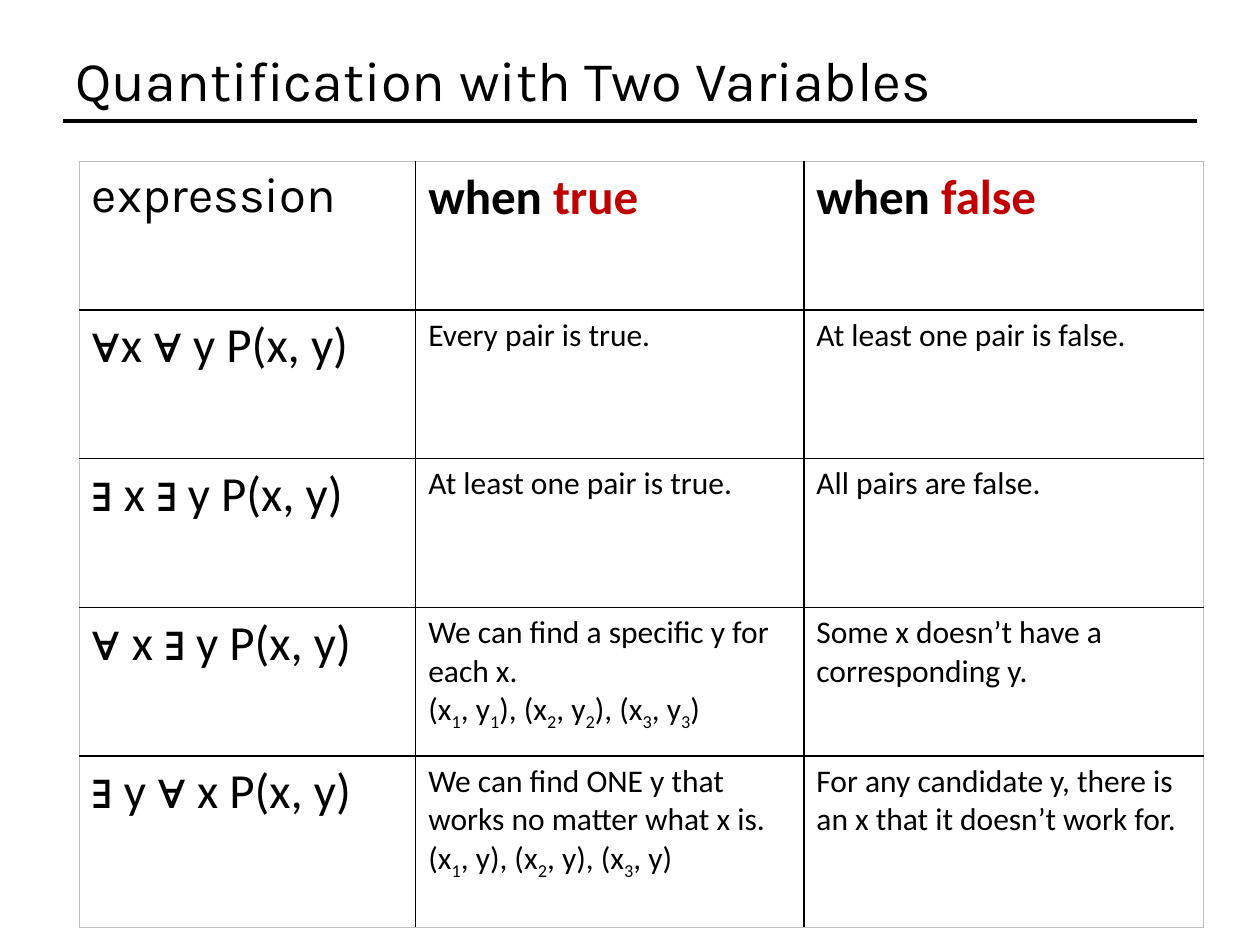
"""Build a slide with a table of two-variable quantifier meanings."""
from itertools import groupby

from lxml import etree
from pptx import Presentation
from pptx import util as u
from pptx.dml.color import RGBColor
from pptx.enum import shapes, text
from pptx.oxml import ns

TITLE = "Quantification with Two Variables"
HEADS = [("expression", ""), ("when ", "true"), ("when ", "false")]
ROWS = [
    ("∀x ∀ y P(x, y)", ["Every pair is true."], ["At least one pair is false."]),
    ("∃ x ∃ y P(x, y)", ["At least one pair is true."], ["All pairs are false."]),
    ("∀ x ∃ y P(x, y)",
     ["We can find a specific y for each x.", "(x1, y1), (x2, y2), (x3, y3)"],
     ["Some x doesn’t have a corresponding y."]),
    ("∃ y ∀ x P(x, y)",
     ["We can find ONE y that works no matter what x is.", "(x1, y), (x2, y), (x3, y)"],
     ["For any candidate y, there is an x that it doesn’t work for."]),
]
WIDTHS = [2.67, 3.08, 3.17]
HEIGHTS = [1.18] * 4 + [1.36]
THEME = {
    "ink": "000000", "red": "C00000", "edge": "BFBFBF",
    "head": "Karla", "body": "Calibri", "sign": "Arial",
    "title": 32, "large": 28, "small": 18,
}


def write(para, words, font="body", size="small", color="ink", bold=False):
    """Add words to a paragraph, with signs in their own font and digits lowered."""
    for kind, part in groupby(words, lambda c: "sign" if c in "∀∃" else c.isdigit()):
        run = para.add_run()
        run.text = "".join(part)
        run.font.name = THEME["sign" if kind == "sign" else font]
        run.font.size = u.Pt(THEME[size])
        run.font.bold = bold
        run.font.color.rgb = RGBColor.from_string(THEME[color])
        if kind is True:
            run.font._element.set("baseline", "-25000")


def border(cell, sides):
    """Draw the four cell borders, pale on the outer edge of the table."""
    props = cell._tc.get_or_add_tcPr()
    for spot, (side, outer) in enumerate(sides.items()):
        line = etree.Element(ns.qn(f"a:ln{side}"), w=str(u.Pt(0.5 if outer else 1)))
        fill = etree.SubElement(line, ns.qn("a:solidFill"))
        color = THEME["edge" if outer else "ink"]
        etree.SubElement(fill, ns.qn("a:srgbClr"), val=color)
        props.insert(spot, line)


def heading(slide):
    """Place the title and the rule under it."""
    box = slide.shapes.add_textbox(*map(u.Inches, (0.5, 0.3, 9, 0.66)))
    frame = box.text_frame
    frame.word_wrap = True
    frame.vertical_anchor = text.MSO_ANCHOR.MIDDLE
    write(frame.paragraphs[0], TITLE, font="head", size="title")
    rule = slide.shapes.add_connector(
        shapes.MSO_CONNECTOR.STRAIGHT, *map(u.Inches, (0.5, 0.96, 9.5, 0.96)))
    rule.line.width = u.Pt(2)
    rule.line.color.rgb = RGBColor.from_string(THEME["ink"])
    etree.SubElement(rule._element.spPr, ns.qn("a:effectLst"))


def grid(slide):
    """Place the table, its text and its borders."""
    last, end = len(HEIGHTS) - 1, len(WIDTHS) - 1
    table = slide.shapes.add_table(
        last + 1, end + 1, u.Inches(0.63), u.Inches(1.28),
        u.Inches(sum(WIDTHS)), u.Inches(sum(HEIGHTS))).table
    table.first_row = table.horz_banding = False
    for col, width in zip(table.columns, WIDTHS):
        col.width = u.Inches(width)
    for row, height in zip(table.rows, HEIGHTS):
        row.height = u.Inches(height)
    for r in range(last + 1):
        for c in range(end + 1):
            cell = table.cell(r, c)
            cell.fill.background()
            border(cell, {"L": c == 0, "R": c == end, "T": r == 0, "B": r == last})
            frame = cell.text_frame
            para = frame.paragraphs[0]
            if r == 0:
                lead, key = HEADS[c]
                write(para, lead, font="body" if c else "head", size="large", bold=c > 0)
                write(para, key, size="large", color="red", bold=True)
            elif c == 0:
                write(para, ROWS[r - 1][0], size="large")
            else:
                for n, line in enumerate(ROWS[r - 1][c]):
                    write(frame.add_paragraph() if n else para, line)


def main():
    """Build and save the slide."""
    deck = Presentation()
    deck.slide_width, deck.slide_height = u.Inches(10), u.Inches(7.5)
    slide = deck.slides.add_slide(deck.slide_layouts[6])
    heading(slide)
    grid(slide)
    deck.save("out.pptx")


if __name__ == "__main__":
    main()
